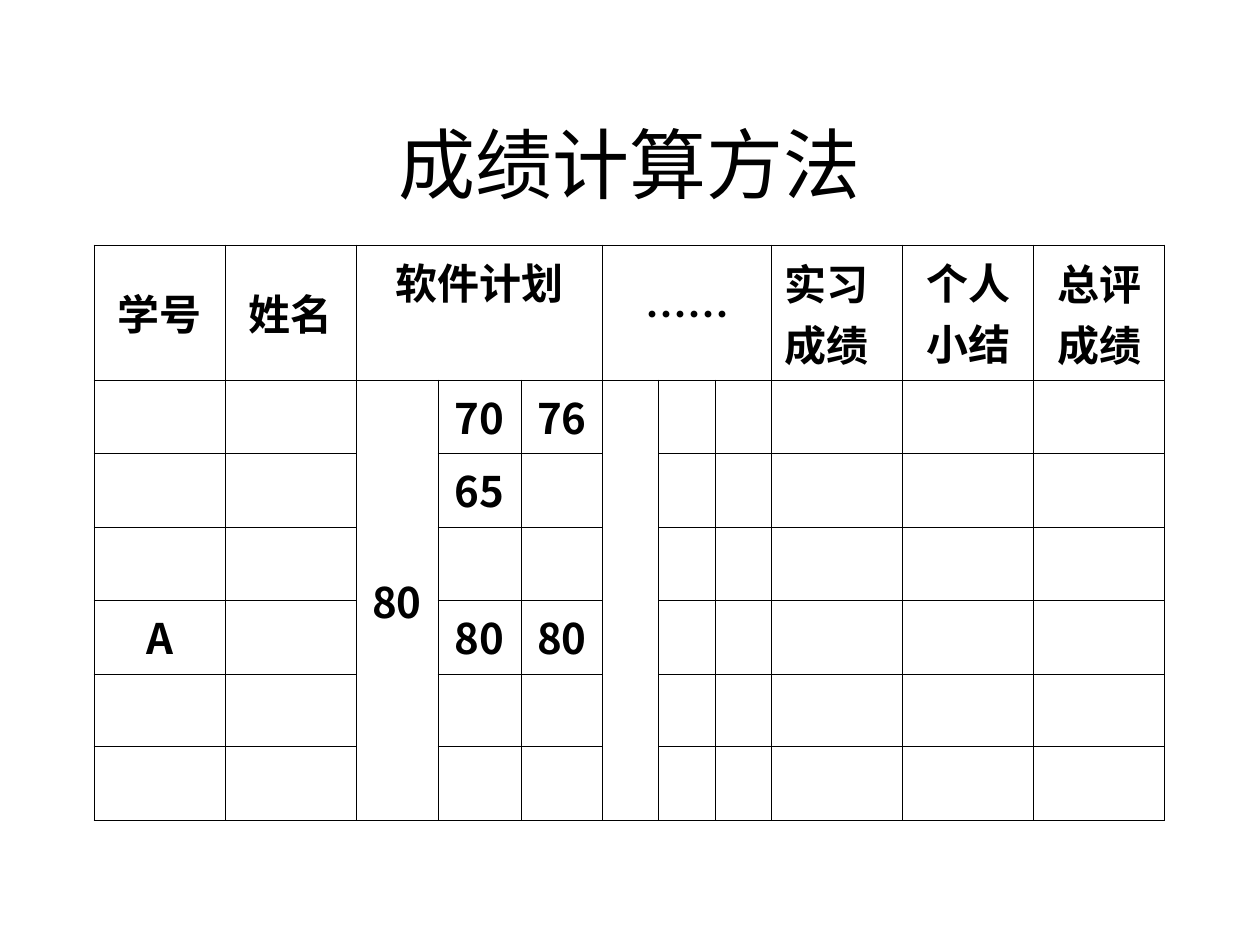
from typing import NamedTuple

from lxml.etree import SubElement
from pptx import Presentation
from pptx.dml.color import RGBColor
from pptx.enum.lang import MSO_LANGUAGE_ID as Language
from pptx.enum.text import MSO_ANCHOR as Anchor, PP_ALIGN as Align
from pptx.oxml.ns import qn
from pptx.util import Pt

EMU_PER_PX = 914400 // 126
BLACK = "000000"
CJK_FONT = "Noto Sans CJK SC"
TITLE_FORMAT = {"name": "Times New Roman", "size": Pt(44), "bold": False}
CELL_FORMAT = {"name": CJK_FONT, "size": Pt(24), "bold": True}
MARGINS = {"margin_left": 13, "margin_right": 13, "margin_top": 6, "margin_bottom": 6}
COLUMN_WIDTHS = (131, 131, 82, 83, 82, 56, 57, 56, 131, 131, 131)
ROW_HEIGHTS = (135, *(73, 74) * 3)


class Entry(NamedTuple):
    """Text and span of one grade table cell."""

    row: int
    column: int
    text: str
    anchor: Anchor = Anchor.TOP
    align: Align = Align.CENTER
    rows: int = 1
    columns: int = 1


ENTRIES = (
    Entry(0, 0, "学号", Anchor.MIDDLE),
    Entry(0, 1, "姓名", Anchor.MIDDLE),
    Entry(0, 2, "软件计划", columns=3),
    Entry(0, 5, "……", Anchor.MIDDLE, columns=3),
    Entry(0, 8, "实习成绩", Anchor.MIDDLE, Align.LEFT),
    Entry(0, 9, "个人小结"),
    Entry(0, 10, "总评成绩", Anchor.MIDDLE),
    Entry(1, 2, "80", Anchor.MIDDLE, rows=6),
    Entry(1, 3, "70"),
    Entry(1, 4, "76"),
    Entry(1, 5, "", rows=6),
    Entry(2, 3, "65"),
    Entry(4, 0, "A"),
    Entry(4, 3, "80"),
    Entry(4, 4, "80"),
)


def px(length: int) -> int:
    """Convert pixels to EMU."""
    return length * EMU_PER_PX


def color(value: str) -> RGBColor:
    """Convert a hex string to a colour."""
    return RGBColor.from_string(value)


def write(text_frame, text: str, align: Align, font_format: dict) -> None:
    """Write one formatted paragraph."""
    paragraph = text_frame.paragraphs[0]
    paragraph.alignment = align
    run = paragraph.add_run()
    run.text = text
    for name, value in font_format.items():
        setattr(run.font, name, value)
    run.font.language_id = Language.SIMPLIFIED_CHINESE
    run.font.color.rgb = color(BLACK)
    SubElement(run._r.get_or_add_rPr(), qn("a:ea"), typeface=CJK_FONT)


def set_margins(container) -> None:
    """Apply the common text margins."""
    for name, value in MARGINS.items():
        setattr(container, name, px(value))


def style_cell(cell) -> None:
    """Give a cell thin black borders, margins and no fill."""
    set_margins(cell)
    properties = cell._tc.get_or_add_tcPr()
    for side in ("lnL", "lnR", "lnT", "lnB"):
        line = SubElement(properties, qn(f"a:{side}"), w=str(Pt(0.45)))
        fill = SubElement(line, qn("a:solidFill"))
        SubElement(fill, qn("a:srgbClr"), val=BLACK)
    cell.fill.background()


def add_title(slide) -> None:
    """Add the centred slide title."""
    shape = slide.shapes.add_textbox(px(94), px(84), px(1071), px(158))
    text_frame = shape.text_frame
    text_frame.word_wrap = True
    text_frame.vertical_anchor = Anchor.MIDDLE
    set_margins(text_frame)
    write(text_frame, "成绩计算方法", Align.CENTER, TITLE_FORMAT)


def add_grade_table(slide) -> None:
    """Add the grade table with its merged cells."""
    table = slide.shapes.add_table(
        len(ROW_HEIGHTS), len(COLUMN_WIDTHS), px(94), px(245),
        px(sum(COLUMN_WIDTHS)), px(sum(ROW_HEIGHTS)),
    ).table
    table.first_row = table.horz_banding = False
    for column, width in zip(table.columns, COLUMN_WIDTHS):
        column.width = px(width)
    for row, height in zip(table.rows, ROW_HEIGHTS):
        row.height = px(height)
    for cell in table.iter_cells():
        style_cell(cell)
    for entry in ENTRIES:
        cell = table.cell(entry.row, entry.column)
        if entry.rows > 1 or entry.columns > 1:
            cell.merge(table.cell(entry.row + entry.rows - 1,
                                  entry.column + entry.columns - 1))
        cell.vertical_anchor = entry.anchor
        if entry.text:
            write(cell.text_frame, entry.text, entry.align, CELL_FORMAT)


def main() -> None:
    """Build and save the slide."""
    presentation = Presentation()
    presentation.slide_width = px(1260)
    presentation.slide_height = px(945)
    slide = presentation.slides.add_slide(presentation.slide_layouts[6])
    add_title(slide)
    add_grade_table(slide)
    presentation.save("out.pptx")


if __name__ == "__main__":
    main()
